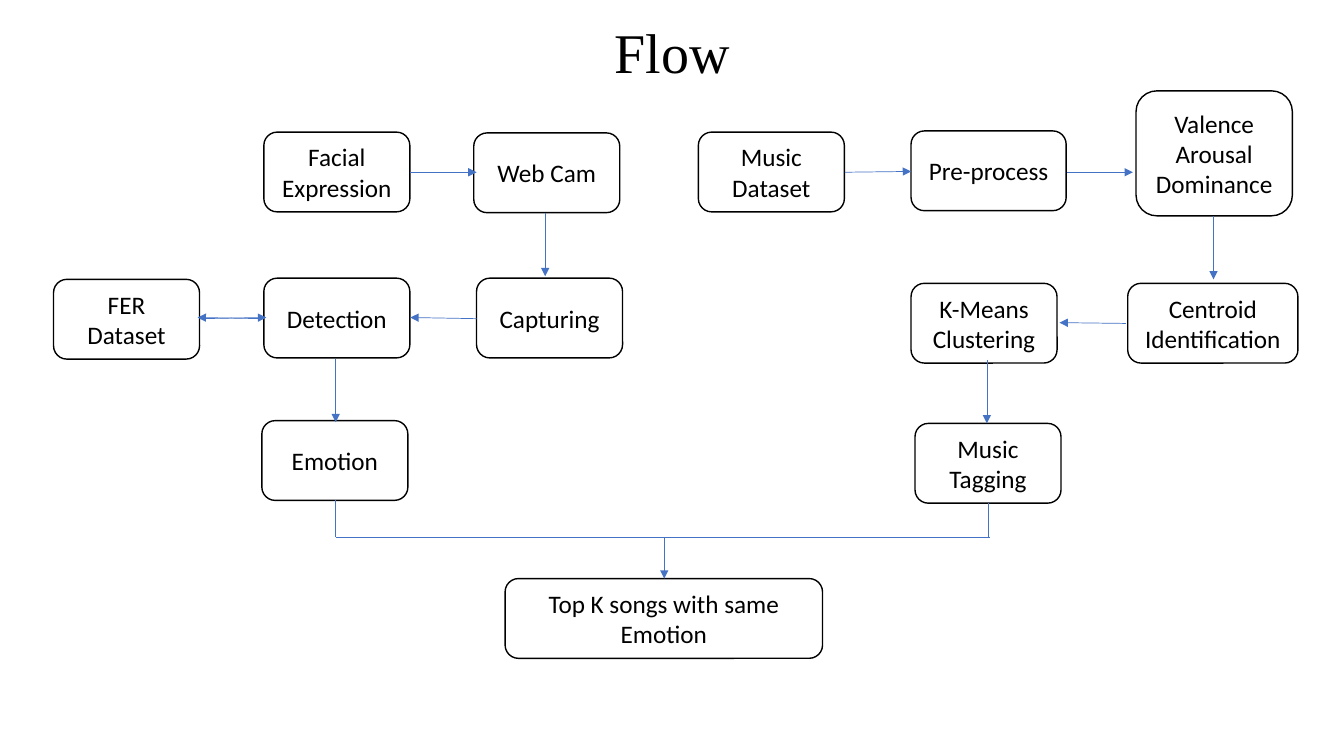
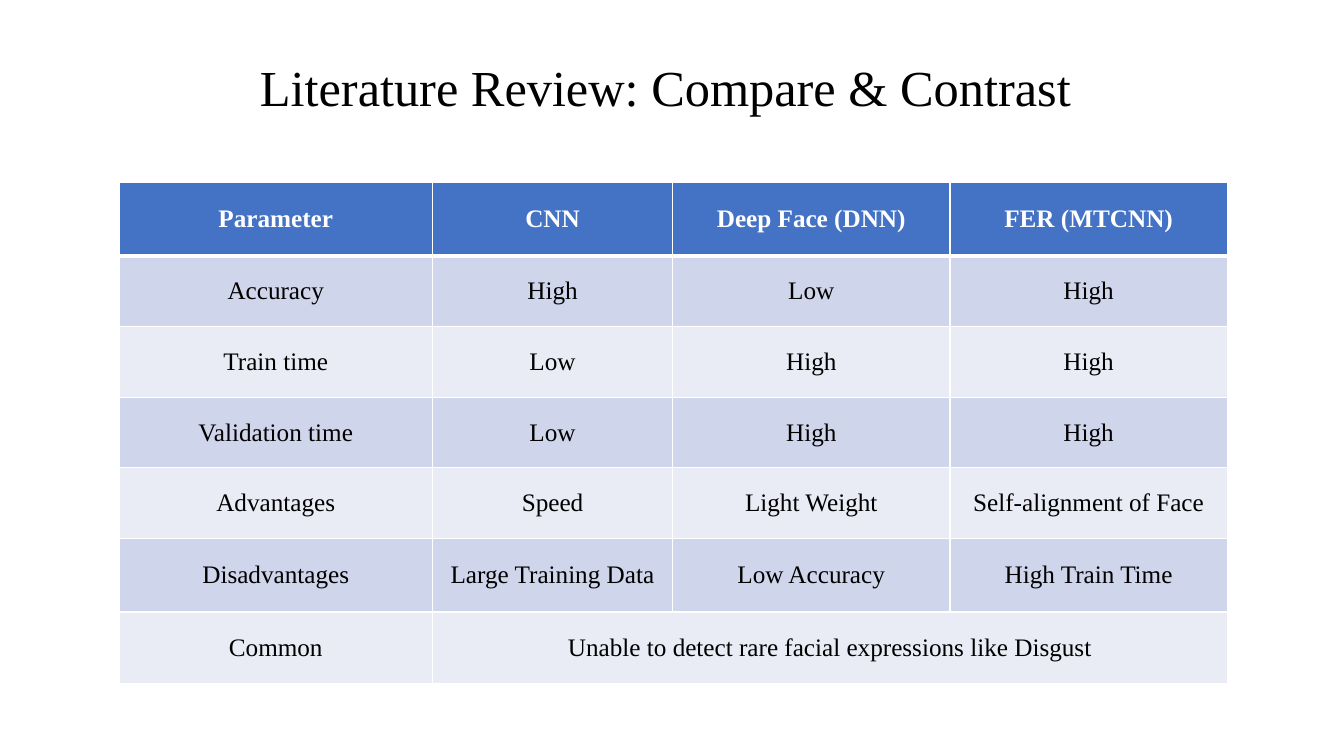
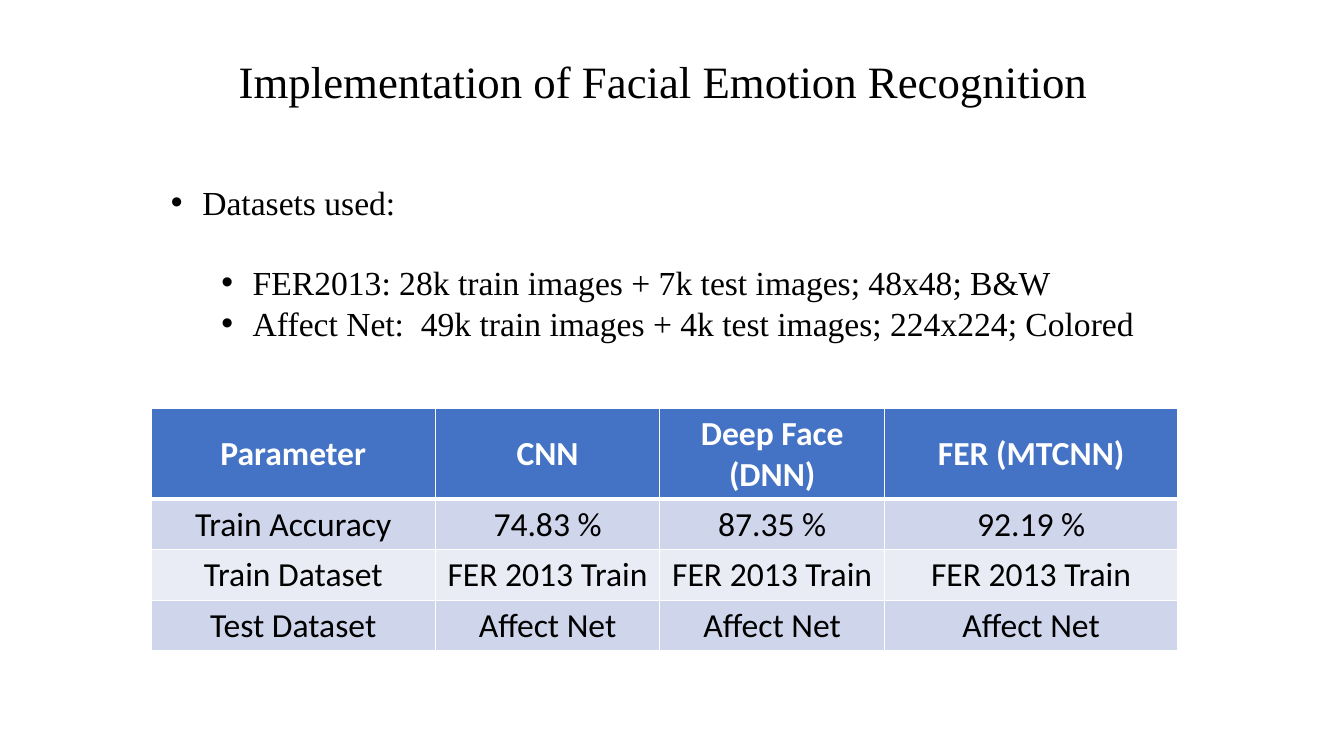
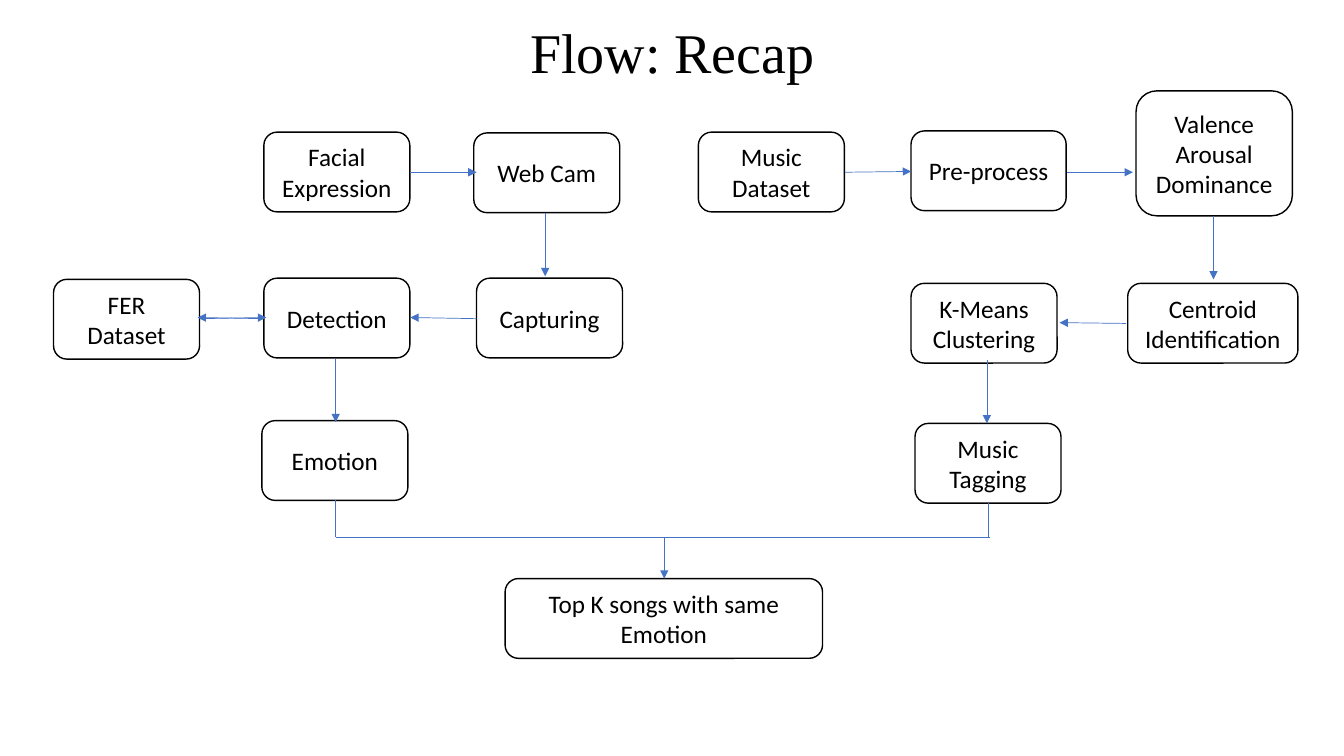
from lxml import etree
from pptx import Presentation
from pptx.dml.color import RGBColor
from pptx.enum.shapes import MSO_CONNECTOR, MSO_SHAPE
from pptx.enum.text import MSO_ANCHOR, MSO_AUTO_SIZE, PP_ALIGN
from pptx.oxml.ns import qn
from pptx.util import Cm, Pt

CENTER, LEFT = PP_ALIGN.CENTER, PP_ALIGN.LEFT
MIDDLE, TOP = MSO_ANCHOR.MIDDLE, MSO_ANCHOR.TOP
FIT_SHAPE = MSO_AUTO_SIZE.SHAPE_TO_FIT_TEXT
ROUNDED, STRAIGHT = MSO_SHAPE.ROUNDED_RECTANGLE, MSO_CONNECTOR.STRAIGHT

BLACK, WHITE, BLUE = "000000", "FFFFFF", "4472C4"
DARK_BAND, LIGHT_BAND = "CFD5EA", "E9EBF5"
SERIF, SANS = "Times New Roman", "Calibri"
TITLE_ONLY = 5


def color(value):
    return RGBColor.from_string(value)


def write(frame, text, font=SANS, size=18, fill=BLACK, bold=False,
          align=CENTER, anchor=MIDDLE):
    """Fill a text frame, one paragraph for each line of text."""
    frame.text = text
    frame.word_wrap = True
    frame.vertical_anchor = anchor
    for paragraph in frame.paragraphs:
        paragraph.alignment = align
        for run in paragraph.runs:
            run.font.name, run.font.size, run.font.bold = font, Pt(size), bold
            run.font.color.rgb = color(fill)


presentation = Presentation()
presentation.slide_width, presentation.slide_height = Cm(33.87), Cm(19.05)

# Slides and titles: text, size, left, top, width, height
titles = [
    ("Flow", 40, 11.33, 0.3, 11.23, 1.96),
    ("Literature Review: Compare & Contrast", 36, 5.21, 1.27, 23.14, 1.8),
    ("Implementation of Facial Emotion Recognition", 32, 4.45, 1.22, 24.54, 1.63),
    ("Flow: Recap", 40, 11.33, 0.3, 11.23, 1.96),
]
for text, size, left, top, width, height in titles:
    slide = presentation.slides.add_slide(presentation.slide_layouts[TITLE_ONLY])
    title = slide.shapes.title
    title.left, title.top, title.width, title.height = map(Cm, (left, top, width, height))
    write(title.text_frame, text, font=SERIF, size=size)
    title.text_frame.auto_size = FIT_SHAPE
flow, review, implementation, recap = presentation.slides

# Flow charts: boxes are text, left, top, width, height
BOX_WIDTH, BOX_HEIGHT = 3.68, 2.01
boxes = [
    ("Facial Expression", 6.65, 3.33, BOX_WIDTH, BOX_HEIGHT),
    ("Web Cam", 11.94, 3.35, BOX_WIDTH, BOX_HEIGHT),
    ("Capturing", 12.01, 7.01, BOX_WIDTH, BOX_HEIGHT),
    ("Detection", 6.65, 7.01, BOX_WIDTH, BOX_HEIGHT),
    ("FER\nDataset", 1.35, 7.04, BOX_WIDTH, BOX_HEIGHT),
    ("Emotion", 6.6, 10.6, BOX_WIDTH, BOX_HEIGHT),
    ("Music\nDataset", 17.6, 3.33, BOX_WIDTH, BOX_HEIGHT),
    ("Pre-process", 22.96, 3.3, 3.91, BOX_HEIGHT),
    ("Valence Arousal\nDominance", 28.63, 2.29, 3.94, 3.15),
    ("Centroid Identification", 28.42, 7.14, 4.29, BOX_HEIGHT),
    ("K-Means Clustering", 22.96, 7.14, BOX_WIDTH, BOX_HEIGHT),
    ("Music Tagging", 23.06, 10.67, BOX_WIDTH, BOX_HEIGHT),
    ("Top K songs with same Emotion", 12.73, 14.58, 8, BOX_HEIGHT),
]
# Each line runs from the first point to the second
arrows = [
    (10.34, 4.34, 12.01, 4.34),
    (13.74, 5.36, 13.74, 6.96),
    (12.01, 8.03, 10.34, 8),
    (6.65, 8.03, 4.98, 8),
    (5.03, 8.03, 6.71, 8),
    (8.46, 9.04, 8.46, 10.64),
    (21.29, 4.34, 22.96, 4.32),
    (26.9, 4.34, 28.55, 4.34),
    (30.58, 5.44, 30.58, 7.04),
    (28.37, 8.15, 26.7, 8.13),
    (24.87, 9.07, 24.87, 10.67),
    (16.74, 13.54, 16.74, 14.58),
]
joints = [
    (8.46, 12.6, 8.46, 13.54),
    (24.92, 12.67, 24.92, 13.54),
    (8.46, 13.54, 24.94, 13.54),
]
for slide in (flow, recap):
    for text, *place in boxes:
        box = slide.shapes.add_shape(ROUNDED, *map(Cm, place))
        box.shadow.inherit = False
        box.fill.background()
        box.line.color.rgb = color(BLACK)
        box.line.width = Pt(1)
        write(box.text_frame, text)
    for points in arrows + joints:
        connector = slide.shapes.add_connector(STRAIGHT, *map(Cm, points))
        connector.line.color.rgb = color(BLUE)
        connector.line.width = Pt(0.5)
        properties = connector.element.spPr
        if points in arrows:
            etree.SubElement(properties.find(qn("a:ln")), qn("a:tailEnd"), type="triangle")
        etree.SubElement(properties, qn("a:effectLst"))

# Datasets list
datasets = implementation.shapes.add_textbox(Cm(4.06), Cm(3.4), Cm(26.59), Cm(6.4))
frame = datasets.text_frame
write(frame, "Datasets used:\n"
      "FER2013: 28k train images + 7k test images; 48x48; B&W\n"
      "Affect Net:\u00a0 49k train images + 4k test images;\u00a0224x224;\u00a0Colored",
      font=SERIF, size=24, align=LEFT, anchor=TOP)
frame.margin_top = Cm(1.16)
for paragraph, level, space in zip(frame.paragraphs, (0, 1, 1), (0, 28, 0)):
    paragraph.level = level
    paragraph.space_before = Pt(space)
    paragraph.line_spacing = Pt(29.3)
    properties = paragraph._p.get_or_add_pPr()
    properties.set("marL", str(Cm(0.79 + 1.27 * level)))
    properties.set("indent", str(Cm(-0.79)))
    etree.SubElement(properties, qn("a:buFont"), typeface="Arial")
    etree.SubElement(properties, qn("a:buChar"), char="•")

# Tables: slide, left, top, font, size, column widths, row heights, rows
header = ("Parameter", "CNN", "Deep Face (DNN)", "FER (MTCNN)")
tables = [
    (review, 3, 4.6, SERIF, 18, (7.9, 6.05, 6.99, 6.99),
     (1.85, 1.78, 1.78, 1.78, 1.78, 1.85, 1.8), [
         header,
         ("Accuracy", "High", "Low", "High"),
         ("Train time", "Low", "High", "High"),
         ("Validation time", "Low", "High", "High"),
         ("Advantages", "Speed", "Light Weight", "Self-alignment of Face"),
         ("Disadvantages", "Large Training Data", "Low Accuracy", "High Train Time"),
         ("Common", "Unable to detect rare facial expressions like Disgust"),
     ]),
    (implementation, 3.81, 10.29, SANS, 24, (7.16, 5.66, 5.66, 7.39),
     (2.29, 1.27, 1.27, 1.27), [
         header,
         ("Train Accuracy", "74.83 %", "87.35 %", "92.19 %"),
         ("Train Dataset",) + ("FER 2013 Train",) * 3,
         ("Test Dataset",) + ("Affect Net",) * 3,
     ]),
]
for slide, left, top, font, size, widths, heights, rows in tables:
    table = slide.shapes.add_table(len(rows), len(widths), Cm(left), Cm(top),
                                   Cm(sum(widths)), Cm(sum(heights))).table
    for column, width in zip(table.columns, widths):
        column.width = Cm(width)
    for row, height in zip(table.rows, heights):
        row.height = Cm(height)
    for row_index, texts in enumerate(rows):
        is_header = row_index == 0
        band = BLUE if is_header else DARK_BAND if row_index % 2 else LIGHT_BAND
        # A short row lets its last cell span the remaining columns
        if len(texts) < len(widths):
            table.cell(row_index, len(texts) - 1).merge(table.cell(row_index, len(widths) - 1))
        for column_index in range(len(widths)):
            cell = table.cell(row_index, column_index)
            cell.fill.solid()
            cell.fill.fore_color.rgb = color(band)
            cell.vertical_anchor = MIDDLE
            if column_index < len(texts):
                write(cell.text_frame, texts[column_index], font=font, size=size,
                      fill=WHITE if is_header else BLACK, bold=is_header)
            # White borders, thicker below the header
            borders = {"lnL": 1, "lnR": 1, "lnT": 3 if row_index == 1 else 1,
                       "lnB": 3 if is_header else 1}
            for position, (side, width) in enumerate(borders.items()):
                border = etree.Element(qn("a:" + side), w=str(Pt(width)))
                solid = etree.SubElement(border, qn("a:solidFill"))
                etree.SubElement(solid, qn("a:srgbClr"), val=WHITE)
                cell._tc.tcPr.insert(position, border)

presentation.save("out.pptx")
